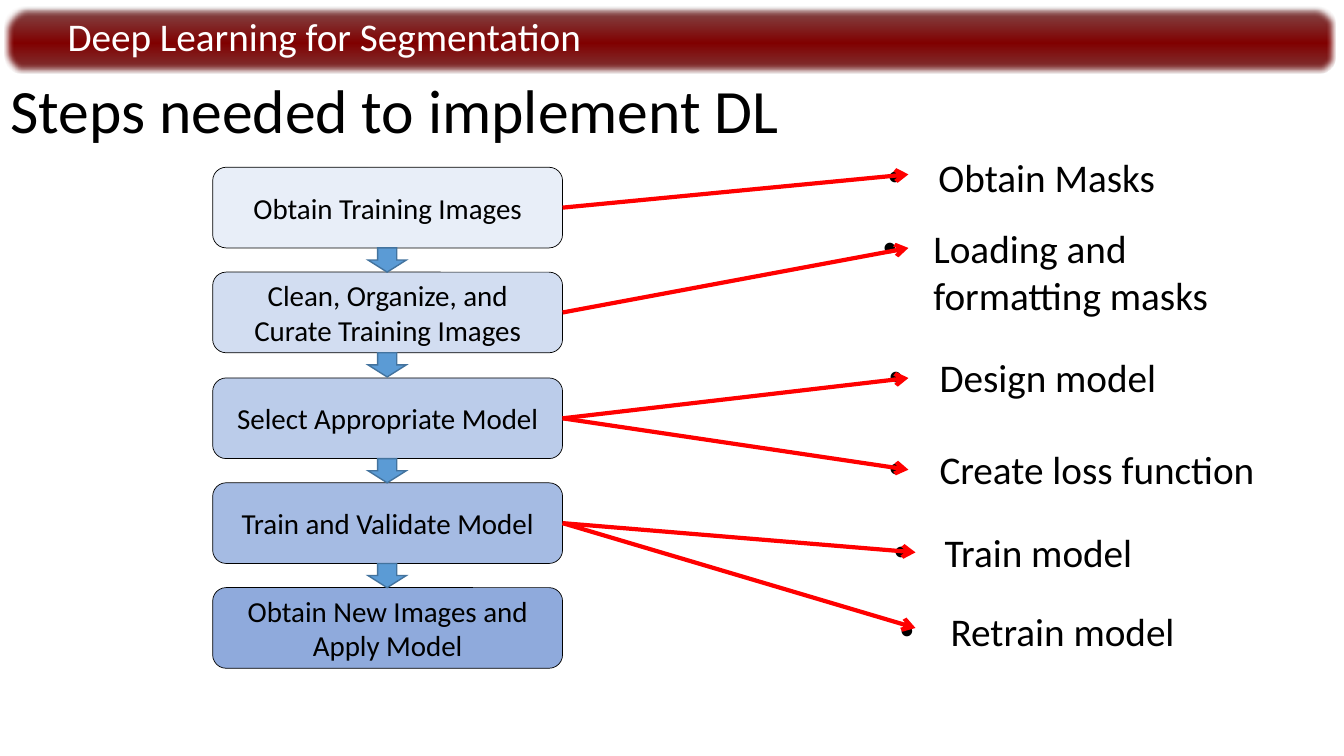
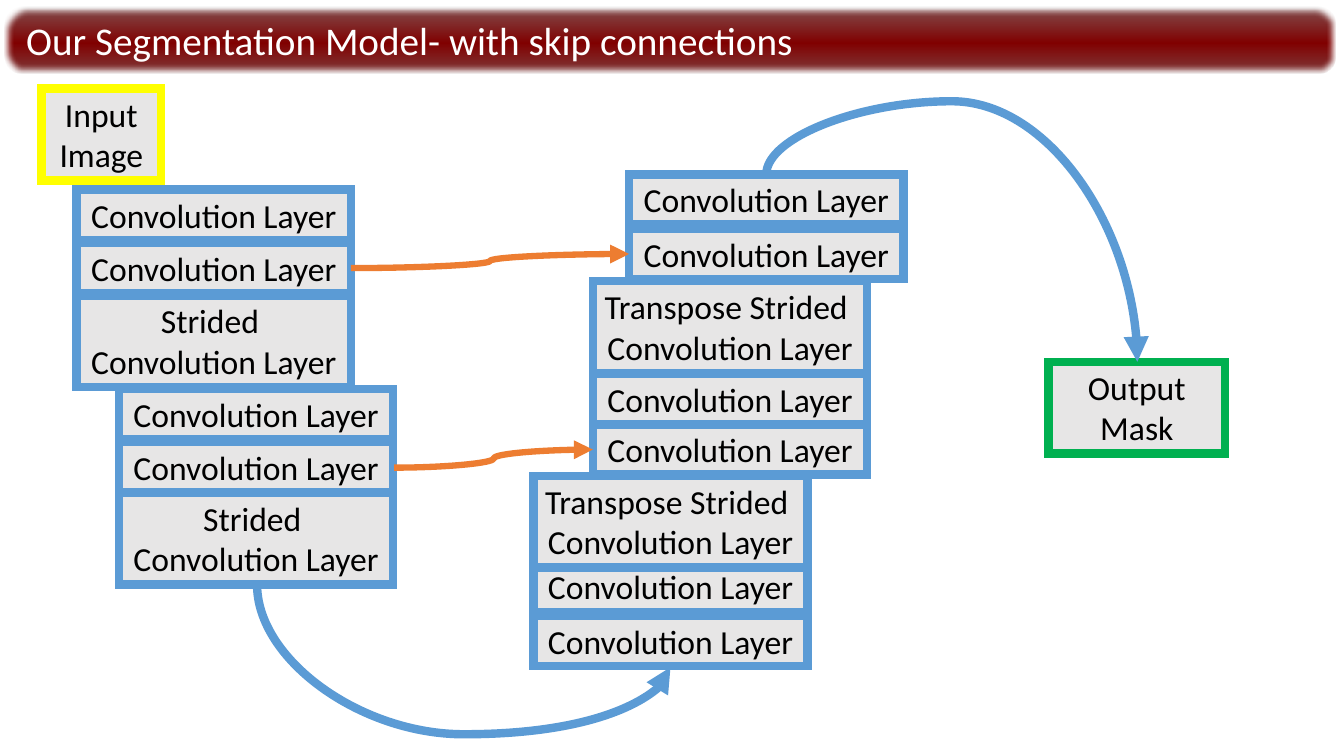
from pptx import Presentation
from pptx.dml.color import RGBColor
from pptx.enum.shapes import MSO_CONNECTOR, MSO_SHAPE
from pptx.enum.text import MSO_ANCHOR, MSO_AUTO_SIZE, PP_ALIGN
from pptx.oxml import parse_xml
from pptx.oxml.ns import nsdecls, qn
from pptx.util import Emu, Pt

BLACK = RGBColor(0x00, 0x00, 0x00)
WHITE = RGBColor(0xFF, 0xFF, 0xFF)
RED = RGBColor(0xFF, 0x00, 0x00)
YELLOW = RGBColor(0xFF, 0xFF, 0x00)
GREEN = RGBColor(0x00, 0xB0, 0x50)
ORANGE = RGBColor(0xED, 0x7D, 0x31)
BLUE = RGBColor(0x5B, 0x9B, 0xD5)
DARK_BLUE = RGBColor(0x43, 0x73, 0x9E)
STEP_BLUE = RGBColor(0x8F, 0xAA, 0xDC)
GRAY = RGBColor(0xE7, 0xE6, 0xE6)
BAND_STOPS = [
    (0, RGBColor(0x80, 0x80, 0x80), 50),
    (5, RGBColor(0x81, 0x49, 0x49), 100),
    (54, RGBColor(0x80, 0x00, 0x00), 100),
    (96, RGBColor(0x7F, 0x38, 0x38), 100),
    (100, RGBColor(0x7F, 0x60, 0x60), 100),
    (100, RGBColor(0x80, 0x80, 0x80), 50),
]
FONT = "Calibri"
EMU_PER_PX = 9144


def px(*lengths):
    return [Emu(round(n * EMU_PER_PX)) for n in lengths]


def xml(tag, attrs="", inner=""):
    return parse_xml(f'<a:{tag} {nsdecls("a")} {attrs}>{inner}</a:{tag}>')


class Deck:
    def __init__(self):
        self.prs = Presentation()
        self.prs.slide_width, self.prs.slide_height = px(1333, 750)
        self.layout = self.prs.slide_layouts[5]
        self.add_slide()
        self.add_band()

    def add_slide(self):
        self.s = self.prs.slides.add_slide(self.layout)

    def add_band(self):
        sp = self.shape(MSO_SHAPE.ROUNDED_RECTANGLE, 5, 7, 1320, 66, WHITE)
        sp.adjustments[0] = 0.27
        stops = "".join(
            f'<a:gs pos="{pos * 1000}"><a:srgbClr val="{color}">'
            f'<a:alpha val="{alpha * 1000}"/></a:srgbClr></a:gs>'
            for pos, color, alpha in BAND_STOPS
        )
        props = sp.element.spPr
        props.replace(
            props.find(qn("a:solidFill")),
            xml("gradFill", 'rotWithShape="1"',
                f'<a:gsLst>{stops}</a:gsLst><a:lin ang="5400000" scaled="0"/>'),
        )
        props.find(qn("a:effectLst")).append(xml("softEdge", 'rad="63500"'))
        sp.element.nvSpPr.cNvPr.set("id", "99")
        self.layout.shapes.element.insert(2, sp.element)

    def add_text(self, tf, lines, size, color=BLACK, align=PP_ALIGN.LEFT,
                 anchor=MSO_ANCHOR.TOP, fit=MSO_AUTO_SIZE.NONE, spacing=1.0, bullet=False):
        tf.word_wrap = True
        tf.auto_size = fit
        tf.vertical_anchor = anchor
        for i, text in enumerate(lines):
            p = tf.add_paragraph() if i else tf.paragraphs[0]
            p.alignment = align
            p.line_spacing = spacing
            if bullet:
                props = p._p.get_or_add_pPr()
                props.set("marL", "457200")
                props.set("indent", "-457200")
                props.append(xml("buFont", 'typeface="Arial"'))
                props.append(xml("buChar", 'char="•"'))
            r = p.add_run()
            r.text = text
            r.font.name = FONT
            r.font.size = Pt(size)
            r.font.color.rgb = color

    def title(self, text, left, top, width, height, size, color=BLACK, inset=None):
        sp = self.s.shapes.title
        sp.left, sp.top, sp.width, sp.height = px(left, top, width, height)
        self.headline(sp.text_frame, text, size, color, inset)

    def header(self, text, left, top, width, height):
        sp = self.s.shapes.add_textbox(*px(left, top, width, height))
        self.headline(sp.text_frame, text, 28, WHITE, 0)

    def headline(self, tf, text, size, color, inset):
        if inset is not None:
            tf.margin_left = tf.margin_right = tf.margin_top = tf.margin_bottom = inset
        self.add_text(tf, [text], size, color, anchor=MSO_ANCHOR.MIDDLE, spacing=0.9)

    def bullet(self, text, left, top, width, height):
        sp = self.s.shapes.add_textbox(*px(left, top, width, height))
        self.add_text(sp.text_frame, [text], 28, fit=MSO_AUTO_SIZE.SHAPE_TO_FIT_TEXT, bullet=True)

    def shape(self, kind, left, top, width, height, fill, line=None, weight=1, alpha=100):
        sp = self.s.shapes.add_shape(kind, *px(left, top, width, height))
        sp.shadow.inherit = False
        sp.fill.solid()
        sp.fill.fore_color.rgb = fill
        if alpha < 100:
            color = sp.element.spPr.find(qn("a:solidFill")).find(qn("a:srgbClr"))
            color.append(xml("alpha", f'val="{alpha * 1000}"'))
        if line is None:
            sp.line.fill.background()
        else:
            sp.line.color.rgb = line
            sp.line.width = Pt(weight)
            sp.element.spPr.get_or_add_ln().append(xml("miter", 'lim="800000"'))
        return sp

    def step(self, text, left, top, width, height, alpha):
        sp = self.shape(MSO_SHAPE.ROUNDED_RECTANGLE, left, top, width, height,
                        STEP_BLUE, BLACK, 0.5, alpha)
        self.add_text(sp.text_frame, [text], 20.7, align=PP_ALIGN.CENTER,
                      anchor=MSO_ANCHOR.MIDDLE)

    def layer(self, lines, left, top, width, height, line=BLUE):
        sp = self.shape(MSO_SHAPE.RECTANGLE, left, top, width, height, GRAY, line, 6)
        self.add_text(sp.text_frame, lines, 24, align=PP_ALIGN.CENTER,
                      fit=MSO_AUTO_SIZE.SHAPE_TO_FIT_TEXT)

    def arrow(self, x1, y1, x2, y2, color, weight, kind=MSO_CONNECTOR.CURVE, head="triangle"):
        sp = self.s.shapes.add_connector(kind, *px(x1, y1, x2, y2))
        sp.line.color.rgb = color
        sp.line.width = Pt(weight)
        props = sp.element.spPr
        props.get_or_add_ln().append(xml("tailEnd", f'type="{head}"'))
        props.append(xml("effectLst"))
        return sp

    def arc(self, x1, y1, x2, y2, bend):
        cx, cy = (x1 + x2) / 2, (y1 + y2) / 2
        half_w, half_h = (y2 - y1) / 2, (x2 - x1) / 2
        sp = self.arrow(cx + half_w, cy - half_h, cx - half_w, cy + half_h, BLUE, 6)
        props = sp.element.spPr
        props.find(qn("a:xfrm")).set("rot", "16200000")
        guides = props.find(qn("a:prstGeom")).find(qn("a:avLst"))
        guides.append(xml("gd", f'name="adj1" fmla="val {bend * 1000}"'))


STEPS = [
    ("Obtain Training Images", 166),
    ("Clean, Organize, and Curate Training Images", 270),
    ("Select Appropriate Model", 375),
    ("Train and Validate Model", 479),
    ("Obtain New Images and Apply Model", 583),
]
TASKS = [
    (0, "Obtain Masks", (871, 147, 316, 57), (901, 173)),
    (1, "Loading and formatting masks", (866, 218, 383, 104), (901, 246)),
    (2, "Design model", (872, 346, 316, 57), (901, 375)),
    (2, "Create loss function", (872, 437, 414, 57), (901, 466)),
    (3, "Train model", (877, 519, 284, 57), (908, 548)),
    (3, "Retrain model", (883, 598, 311, 57), (908, 623)),
]
CONV = ["Convolution Layer"]
STRIDED = ["Strided ", "Convolution Layer"]
TRANSPOSE = ["Transpose Strided ", "Convolution Layer"]
COLUMNS = [
    (76, [(CONV, 188), (CONV, 241), (STRIDED, 293)]),
    (118, [(CONV, 386), (CONV, 438), (STRIDED, 489)]),
    (529, [(CONV, 557), (CONV, 611), (TRANSPOSE, 472)]),
    (588, [(CONV, 421), (TRANSPOSE, 279), (CONV, 371)]),
    (624, [(CONV, 173), (CONV, 227)]),
]


def build_steps(deck):
    left, width, height = 211, 347, 80
    for i, (text, top) in enumerate(STEPS):
        deck.step(text, left, top, width, height, 20 * (i + 1))
    for _, top in STEPS[:-1]:
        deck.shape(MSO_SHAPE.DOWN_ARROW, 365, top + height, 38, 24, BLUE, DARK_BLUE)
    deck.header("Deep Learning for Segmentation", 67, 11, 1243, 55)
    deck.title("Steps needed to implement DL", 0, 40, 1150, 145, 44)
    for _, text, box, _ in TASKS:
        deck.bullet(text, *box)
    for i, _, _, tip in TASKS:
        deck.arrow(left + width, STEPS[i][1] + height // 2, *tip, RED, 3,
                   MSO_CONNECTOR.STRAIGHT, "arrow")


def build_model(deck):
    deck.add_slide()
    deck.title("Our Segmentation Model- with skip connections", 26, 15, 1243, 55, 28, WHITE, 0)
    deck.layer(["Input Image"], 41, 88, 119, 91, YELLOW)
    for left, layers in COLUMNS:
        for lines, top in layers:
            deck.layer(lines, left, top, 272, 50 if len(lines) == 1 else 91)
    deck.layer(["Output Mask"], 1040, 359, 175, 91, GREEN)
    deck.arc(760, 173, 1128, 359, -39)
    deck.arc(255, 580, 665, 662, 181)
    deck.arrow(348, 266, 624, 252, ORANGE, 4.5)
    deck.arrow(391, 464, 588, 446, ORANGE, 4.5)


def main():
    deck = Deck()
    build_steps(deck)
    build_model(deck)
    deck.prs.save("out.pptx")


if __name__ == "__main__":
    main()
